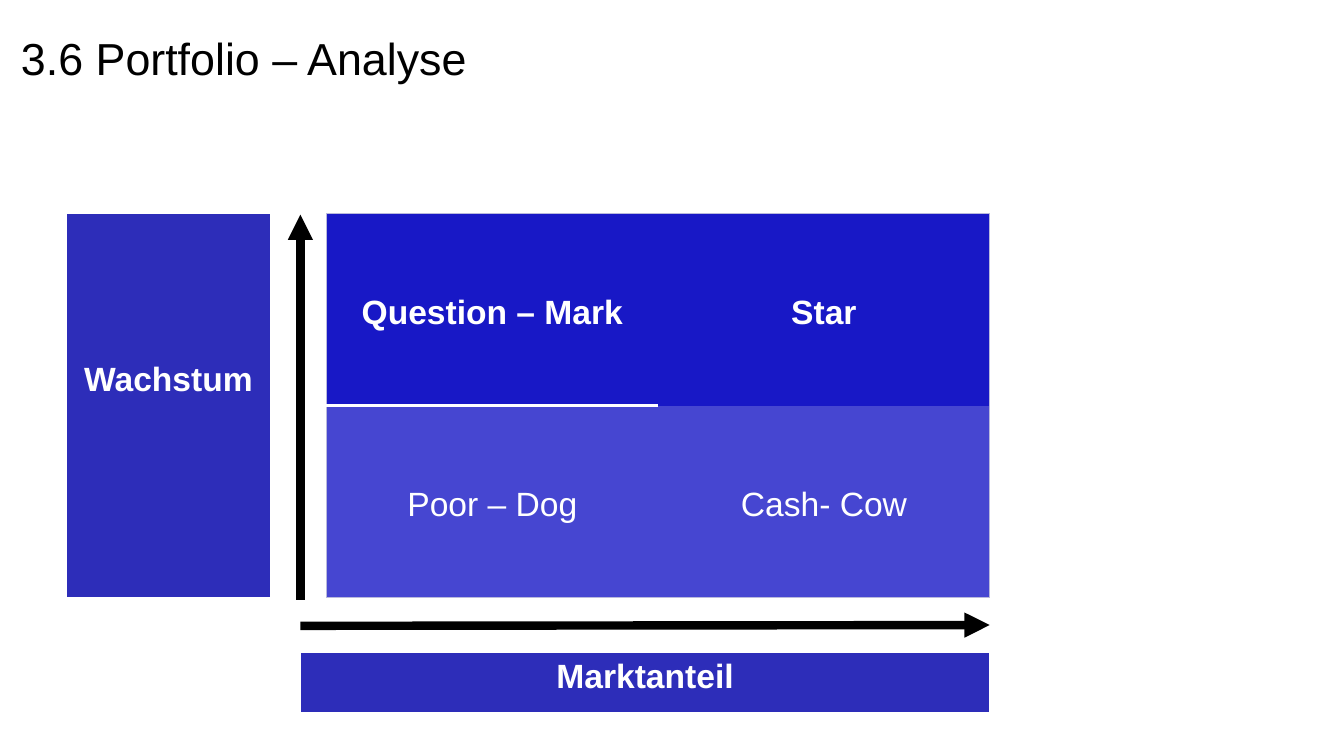
from dataclasses import dataclass

from lxml import etree
from pptx import Presentation
from pptx.dml.color import RGBColor
from pptx.enum import shapes, text
from pptx.oxml import ns
from pptx.util import Cm, Pt


@dataclass(frozen=True)
class Theme:
    font: str = "Arial"
    black: str = "000000"
    white: str = "FFFFFF"
    high_growth: str = "1818C6"
    low_growth: str = "4646D1"
    axis_label: str = "2D2DB9"
    frame: str = "B9B9DC"
    title_size: int = 32
    body_size: int = 24


THEME = Theme()
FRAME = (THEME.frame, 0.75)
THIN = (THEME.white, 1)
THICK = (THEME.white, 3)


def write(tf, words, size=THEME.body_size, color=THEME.white, bold=False,
          align=text.PP_ALIGN.CENTER):
    p = tf.paragraphs[0]
    p.alignment = align
    r = p.add_run()
    r.text = words
    r.font.name = THEME.font
    r.font.size = Pt(size)
    r.font.bold = bold
    r.font.color.rgb = RGBColor.from_string(color)


def add_title(s, words):
    sp = s.shapes.add_textbox(Cm(0.28), Cm(0.71), Cm(28.78), Cm(1.47))
    tf = sp.text_frame
    tf.word_wrap = True
    tf.vertical_anchor = text.MSO_ANCHOR.MIDDLE
    write(tf, words, size=THEME.title_size, color=THEME.black,
          align=text.PP_ALIGN.LEFT)


def set_borders(cell, **borders):
    tc_pr = cell._tc.get_or_add_tcPr()
    for side in "LRTB":
        ln = etree.SubElement(tc_pr, ns.qn(f"a:ln{side}"))
        if side not in borders:
            etree.SubElement(ln, ns.qn("a:noFill"))
            continue
        color, width = borders[side]
        ln.set("w", str(Pt(width)))
        fill = etree.SubElement(ln, ns.qn("a:solidFill"))
        etree.SubElement(fill, ns.qn("a:srgbClr"), val=color)


def fill_cell(cell, words, fill, borders, top=0.15, bold=True):
    set_borders(cell, **borders)
    cell.fill.solid()
    cell.fill.fore_color.rgb = RGBColor.from_string(fill)
    cell.margin_top = Cm(top)
    cell.vertical_anchor = text.MSO_ANCHOR.TOP
    write(cell.text_frame, words, bold=bold)


def add_grid(s, rows, cols, left, top, width, height):
    table = s.shapes.add_table(rows, cols, Cm(left), Cm(top),
                               Cm(width), Cm(height)).table
    table.first_row = False
    table.horz_banding = False
    return table


def add_matrix(s):
    table = add_grid(s, 2, 2, 8.23, 5.38, 16.71, 9.68)
    quadrants = [
        (0, 0, "Question – Mark", dict(L=FRAME, T=FRAME, B=THICK)),
        (0, 1, "Star", dict(R=FRAME, T=FRAME)),
        (1, 0, "Poor – Dog", dict(L=FRAME, T=THICK, B=FRAME)),
        (1, 1, "Cash- Cow", dict(R=FRAME, B=FRAME)),
    ]
    for row, col, words, borders in quadrants:
        fill = THEME.low_growth if row else THEME.high_growth
        fill_cell(table.cell(row, col), words, fill, borders, top=2.02,
                  bold=row == 0)


def add_axis_label(s, words, left, top, width, height, text_top=0.15):
    table = add_grid(s, 1, 1, left, top, width, height)
    borders = dict(L=THIN, R=THIN, T=THIN, B=THICK)
    fill_cell(table.cell(0, 0), words, THEME.axis_label, borders, top=text_top)


def add_arrow(s, x1, y1, x2, y2):
    line = s.shapes.add_connector(shapes.MSO_CONNECTOR.STRAIGHT,
                                  Cm(x1), Cm(y1), Cm(x2), Cm(y2))
    line.line.width = Pt(6)
    line.line.color.rgb = RGBColor.from_string(THEME.black)
    etree.SubElement(line.line._get_or_add_ln(), ns.qn("a:tailEnd"),
                     type="triangle")
    etree.SubElement(line._element.spPr, ns.qn("a:effectLst"))


def main():
    prs = Presentation()
    prs.slide_width, prs.slide_height = Cm(33.87), Cm(19.05)
    s = prs.slides.add_slide(prs.slide_layouts[6])
    add_title(s, "3.6 Portfolio – Analyse")
    add_matrix(s)
    add_axis_label(s, "Wachstum", 1.68, 5.39, 5.13, 9.7, text_top=3.7)
    add_axis_label(s, "Marktanteil", 7.57, 16.43, 17.37, 1.57)
    add_arrow(s, 7.57, 15.11, 7.57, 5.41)
    add_arrow(s, 7.57, 15.77, 24.94, 15.75)
    prs.save("out.pptx")


if __name__ == "__main__":
    main()
